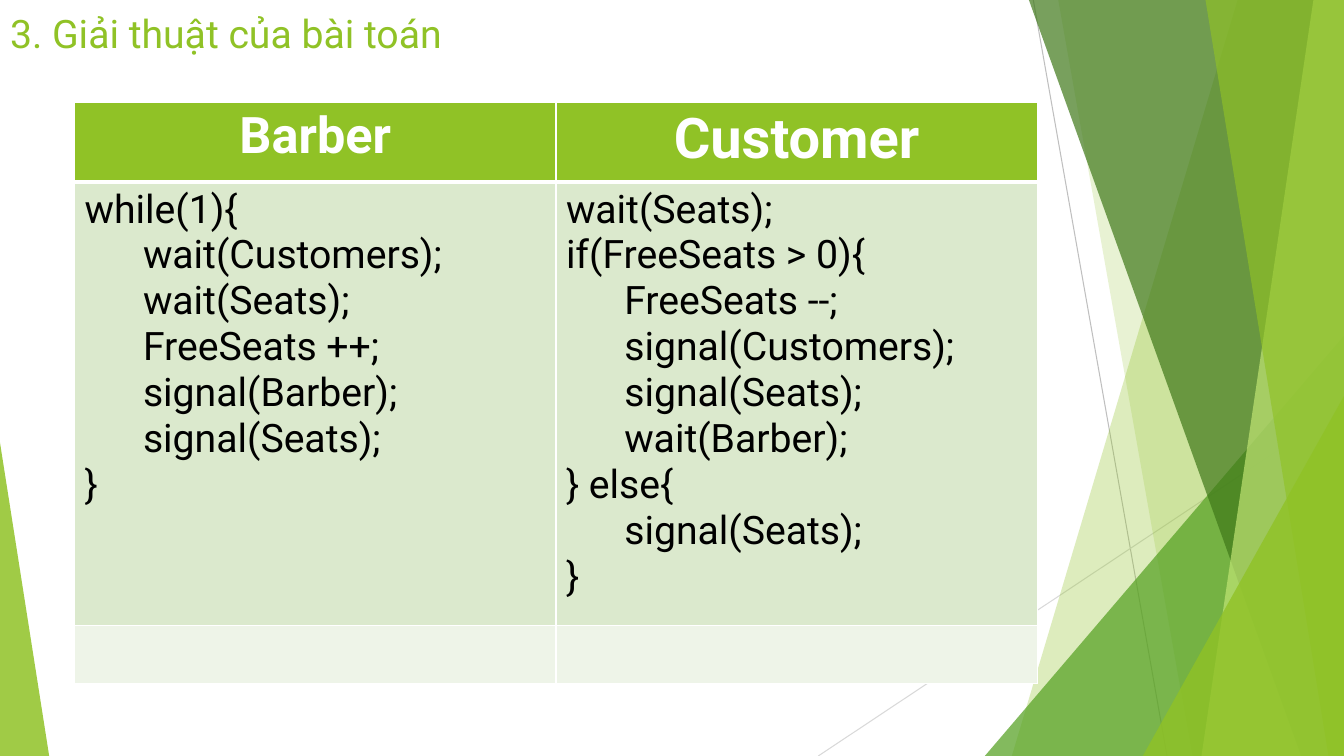
import pptx
import pptx.util
import pptx.dml.color
import pptx.enum.shapes
import pptx.enum.text
import pptx.oxml
import pptx.oxml.ns
from pptx.util import Cm

WIDE, HIGH = 33.87, 19.05
FONT = "Roboto"
GREEN, WHITE, BLACK = "90C226", "FFFFFF", "000000"


def paint(fill, color):
    fill.solid()
    fill.fore_color.rgb = pptx.dml.color.RGBColor.from_string(color)


def write(para, text, size, color, bold=False):
    run = para.add_run()
    run.text = text
    run.font.name = FONT
    run.font.size = pptx.util.Pt(size)
    run.font.bold = bold
    paint(run.font.fill, color)


deck = pptx.Presentation()
deck.slide_width, deck.slide_height = Cm(WIDE), Cm(HIGH)
slide = deck.slides.add_slide(deck.slide_layouts[5])
shapes = slide.shapes

# Thin lines behind the blades
for left, top, right, color in [
    (26.04, 0, 29.41, "BFBFBF"),
    (WIDE, 10.24, 20.62, "D9D9D9"),
]:
    line = shapes.add_connector(
        pptx.enum.shapes.MSO_CONNECTOR.STRAIGHT,
        Cm(left), Cm(top), Cm(right), Cm(HIGH))
    line.line.width = pptx.util.Pt(0.75)
    paint(line.line.fill, color)
    pptx.oxml.ns.qn("a:effectLst")
    line._element.spPr.append(pptx.oxml.parse_xml(
        '<a:effectLst %s/>' % pptx.oxml.ns.nsdecls("a")))

# Blades: (top x, bottom x) reach the right edge
# Corners: (left, top, width, peak) stand on the bottom edge
for spots, color, alpha in [
    ((31.19, 25.5), GREEN, 30),
    ((26.67, 30.05), GREEN, 20),
    ((24.82, 8.46, 9.05, 1), "54A021", 72),
    ((25.93, 32.79), "3F7819", 70),
    ((33.1, 30.28), "C0E474", 70),
    ((30.38, 33.48), GREEN, 65),
    ((28.8, 9.98, 5.07, 1), GREEN, 80),
    ((0, 11.15, 1.24, 0), GREEN, 85),
]:
    if len(spots) == 2:
        head, foot = spots
        form = shapes.build_freeform(Cm(head), 0)
        form.add_line_segments([
            (Cm(WIDE), 0), (Cm(WIDE), Cm(HIGH)), (Cm(foot), Cm(HIGH))])
        shape = form.convert_to_shape()
    else:
        left, top, width, peak = spots
        shape = shapes.add_shape(
            pptx.enum.shapes.MSO_SHAPE.ISOSCELES_TRIANGLE,
            Cm(left), Cm(top), Cm(width), Cm(HIGH - top))
        shape.adjustments[0] = peak
    shape.shadow.inherit = False
    shape.line.fill.background()
    paint(shape.fill, color)
    tint = shape._element.spPr.find(pptx.oxml.ns.qn("a:solidFill"))[0]
    tint.append(pptx.oxml.parse_xml('<a:alpha %s val="%d"/>' % (
        pptx.oxml.ns.nsdecls("a"), alpha * 1000)))

# Title
title = shapes.title
title.left, title.top = Cm(0), Cm(0)
title.width, title.height = Cm(23.88), Cm(1.63)
title.text_frame.vertical_anchor = pptx.enum.text.MSO_ANCHOR.MIDDLE
para = title.text_frame.paragraphs[0]
para.alignment = pptx.enum.text.PP_ALIGN.LEFT
write(para, "3. Giải thuật của bài toán", 28, GREEN)

# Table content: header, size, code lines as (level, text)
sides = [
    ("Barber", 36, [
        (0, "while(1){"),
        (1, "wait(Customers);"),
        (1, "wait(Seats);"),
        (1, "FreeSeats ++;"),
        (1, "signal(Barber);"),
        (1, "signal(Seats);"),
        (0, "}"),
    ]),
    ("Customer", 40, [
        (0, "wait(Seats);"),
        (0, "if(FreeSeats > 0){"),
        (1, "FreeSeats --;"),
        (1, "signal(Customers);"),
        (1, "signal(Seats);"),
        (1, "wait(Barber);"),
        (0, "} else{"),
        (1, "signal(Seats);"),
        (0, "}"),
    ]),
]
table = shapes.add_table(
    3, 2, Cm(1.88), Cm(2.57), Cm(24.26), Cm(14.66)).table
for row, height in zip(table.rows, (2.01, 11.18, 1.47)):
    row.height = Cm(height)

# Cell borders and fills
for index, color in enumerate((GREEN, "DBE9CD", "EEF4E8")):
    for cell in table.rows[index].cells:
        props = cell._tc.get_or_add_tcPr()
        for edge in "LRTB":
            thick = 3 if (index, edge) in ((0, "B"), (1, "T")) else 1
            props.append(pptx.oxml.parse_xml(
                '<a:ln%s %s w="%d"><a:solidFill><a:srgbClr val="%s"/>'
                '</a:solidFill></a:ln%s>' % (
                    edge, pptx.oxml.ns.nsdecls("a"),
                    pptx.util.Pt(thick), WHITE, edge)))
        paint(cell.fill, color)

# Headers and code
for col, (name, size, code) in enumerate(sides):
    para = table.cell(0, col).text_frame.paragraphs[0]
    para.alignment = pptx.enum.text.PP_ALIGN.CENTER
    write(para, name, size, WHITE, True)
    frame = table.cell(1, col).text_frame
    for place, (level, text) in enumerate(code):
        para = frame.add_paragraph() if place else frame.paragraphs[0]
        para._p.get_or_add_pPr().set("marL", str(Cm(1.47 * level)))
        write(para, text, 28, BLACK)

deck.save("out.pptx")
